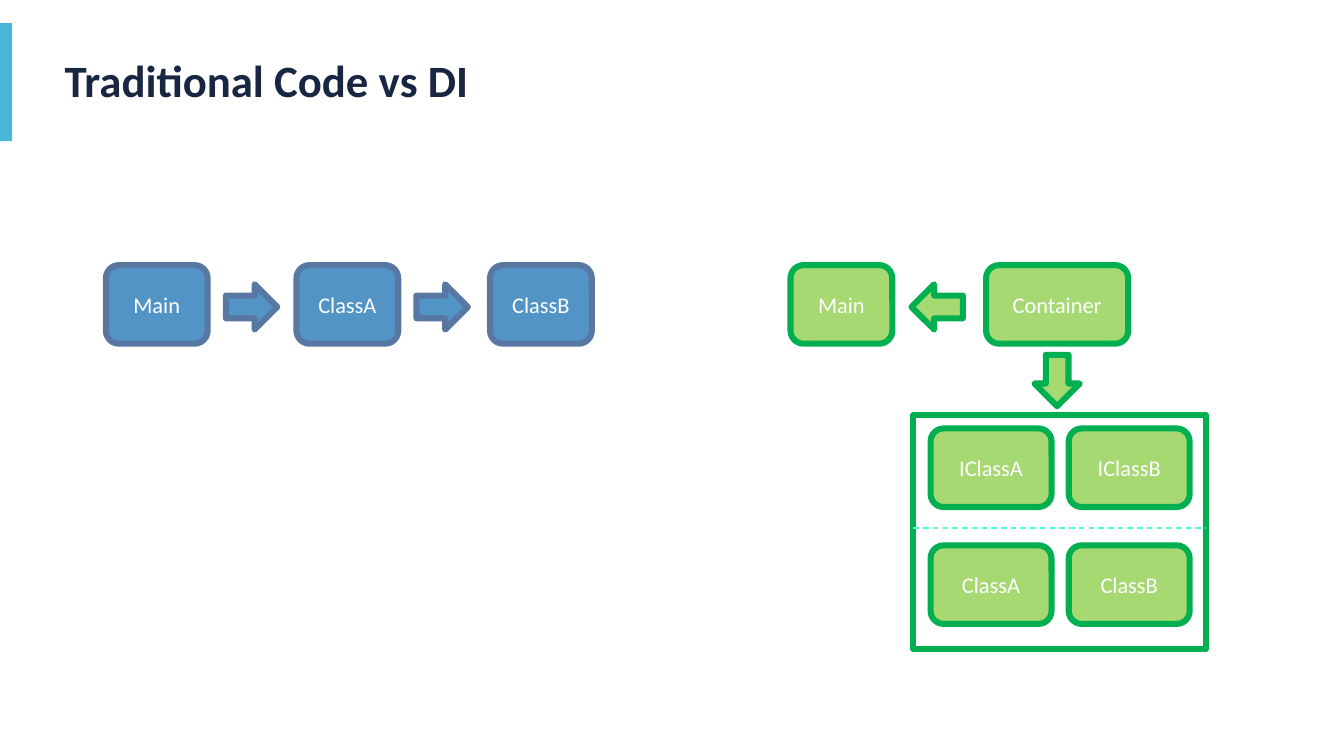
from dataclasses import dataclass

from lxml import etree
from pptx import Presentation
from pptx.dml.color import RGBColor
from pptx.enum.dml import MSO_LINE_DASH_STYLE as Dash
from pptx.enum.shapes import MSO_CONNECTOR_TYPE as Connector
from pptx.enum.shapes import MSO_SHAPE as Shape
from pptx.enum.text import MSO_ANCHOR as Anchor
from pptx.enum.text import PP_ALIGN as Align
from pptx.oxml.ns import qn
from pptx.util import Emu, Pt

FONT = "Calibri"
WHITE = RGBColor(0xFF, 0xFF, 0xFF)
NAVY = RGBColor(0x18, 0x26, 0x42)
ACCENT = RGBColor(0x4A, 0xB6, 0xD8)
BLUE = RGBColor(0x28, 0x7A, 0xB9)
SLATE = RGBColor(0x58, 0x78, 0xA3)
LIME = RGBColor(0x92, 0xD0, 0x50)
GREEN = RGBColor(0x00, 0xB0, 0x50)
AQUA = RGBColor(0x4E, 0xFF, 0xD2)

OUTLINE = Pt(4.33)
OPACITY = 80
BOX_HEIGHT = 78
ARROW_WIDTH, ARROW_HEIGHT = 51, 45
TOP_ROW, ARROW_ROW = 263, 282


@dataclass(frozen=True)
class Palette:
    fill: RGBColor
    line: RGBColor


@dataclass(frozen=True)
class Box:
    text: str
    left: int
    top: int = TOP_ROW
    width: int = 101


@dataclass(frozen=True)
class Arrow:
    left: int
    top: int = ARROW_ROW
    rotation: int = 0


def px(length: int) -> Emu:
    """Convert px, 100 to the inch, into EMU."""
    return Emu(length * 9144)


def add_part(shapes, kind: Shape, left: int, top: int, width: int, height: int):
    shape = shapes.add_shape(kind, px(left), px(top), px(width), px(height))
    shape.shadow.inherit = False
    return shape


def outline(shape, color: RGBColor) -> None:
    shape.line.color.rgb = color
    shape.line.width = OUTLINE
    etree.SubElement(shape.line._get_or_add_ln(), qn("a:round"))


def paint(shape, palette: Palette) -> None:
    shape.fill.solid()
    shape.fill.fore_color.rgb = palette.fill
    color = shape._element.spPr.find(qn("a:solidFill"))[0]
    etree.SubElement(color, qn("a:alpha"), val=str(OPACITY * 1000))
    outline(shape, palette.line)


def draw_box(shapes, box: Box, palette: Palette) -> None:
    shape = add_part(shapes, Shape.ROUNDED_RECTANGLE,
                     box.left, box.top, box.width, BOX_HEIGHT)
    paint(shape, palette)
    shape.text_frame.text = box.text
    shape.text_frame.vertical_anchor = Anchor.MIDDLE
    paragraph = shape.text_frame.paragraphs[0]
    paragraph.alignment = Align.CENTER
    paragraph.font.name = FONT
    paragraph.font.size = Pt(16)
    paragraph.font.color.rgb = WHITE


def draw_arrow(shapes, arrow: Arrow, palette: Palette) -> None:
    shape = add_part(shapes, Shape.RIGHT_ARROW,
                     arrow.left, arrow.top, ARROW_WIDTH, ARROW_HEIGHT)
    shape.rotation = arrow.rotation
    paint(shape, palette)


def draw_diagram(slide, boxes: list[Box], arrows: list[Arrow], palette: Palette):
    group = slide.shapes.add_group_shape()
    for box in boxes:
        draw_box(group.shapes, box, palette)
    for arrow in arrows:
        draw_arrow(group.shapes, arrow, palette)
    return group


def draw_title(slide) -> None:
    bar = add_part(slide.shapes, Shape.RECTANGLE, 0, 23, 12, 117)
    bar.fill.solid()
    bar.fill.fore_color.rgb = ACCENT
    bar.line.fill.background()

    title = slide.shapes.title
    title.left, title.top, title.width, title.height = map(px, (54, 29, 1225, 106))
    title.text_frame.text = "Traditional Code vs DI"
    title.text_frame.vertical_anchor = Anchor.MIDDLE
    paragraph = title.text_frame.paragraphs[0]
    paragraph.alignment = Align.LEFT
    paragraph.line_spacing = 0.9
    paragraph.font.name = FONT
    paragraph.font.size = Pt(32)
    paragraph.font.bold = True
    paragraph.font.color.rgb = NAVY


def draw_registry(shapes) -> None:
    left, top, width, height = 906, 412, 290, 232
    frame = add_part(shapes, Shape.RECTANGLE, left, top, width, height)
    frame.fill.background()
    outline(frame, GREEN)

    divider_y = px(524)
    divider = shapes.add_connector(Connector.STRAIGHT, px(left), divider_y,
                                   px(left + width), divider_y)
    divider.line.color.rgb = AQUA
    divider.line.width = Pt(1)
    divider.line.dash_style = Dash.DASH
    etree.SubElement(divider._element.spPr, qn("a:effectLst"))


def main() -> None:
    presentation = Presentation()
    presentation.slide_width, presentation.slide_height = px(1333), px(750)
    slide = presentation.slides.add_slide(presentation.slide_layouts[5])
    draw_title(slide)

    # Traditional code: each class creates the next
    draw_diagram(
        slide,
        [Box("Main", 105), Box("ClassA", 294), Box("ClassB", 486)],
        [Arrow(224), Arrow(413)],
        Palette(BLUE, SLATE),
    )

    # Dependency injection: the container maps interfaces to classes
    registry_rows = [(425, ("IClassA", "IClassB")), (541, ("ClassA", "ClassB"))]
    registered = [
        Box(text, 923 + 137 * column, top, 120)
        for top, texts in registry_rows
        for column, text in enumerate(texts)
    ]
    injection = draw_diagram(
        slide,
        [Box("Main", 784), Box("Container", 978, width=141), *registered],
        [Arrow(904, rotation=180), Arrow(1023, 355, rotation=90)],
        Palette(LIME, GREEN),
    )
    draw_registry(injection.shapes)

    presentation.save("out.pptx")


if __name__ == "__main__":
    main()
